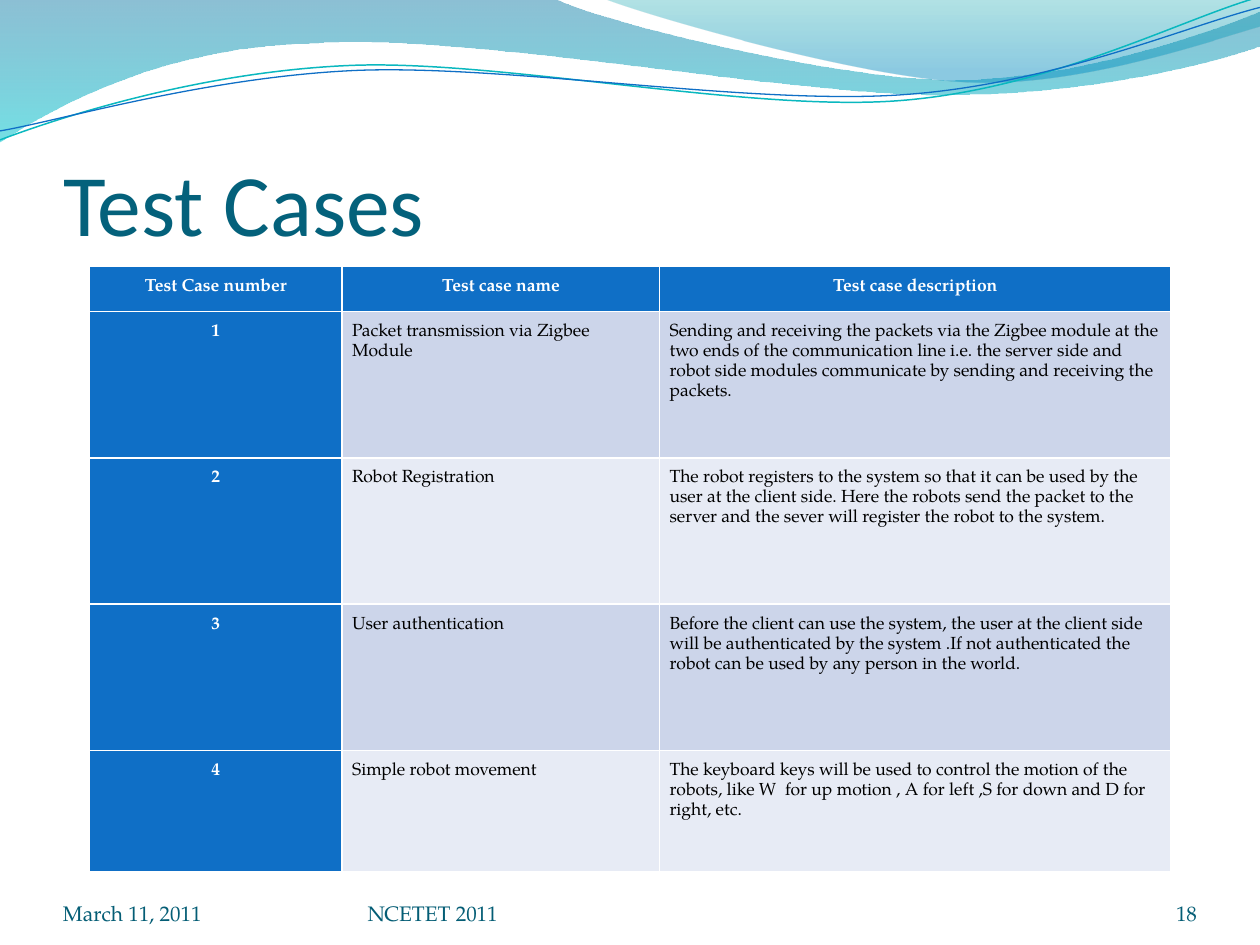
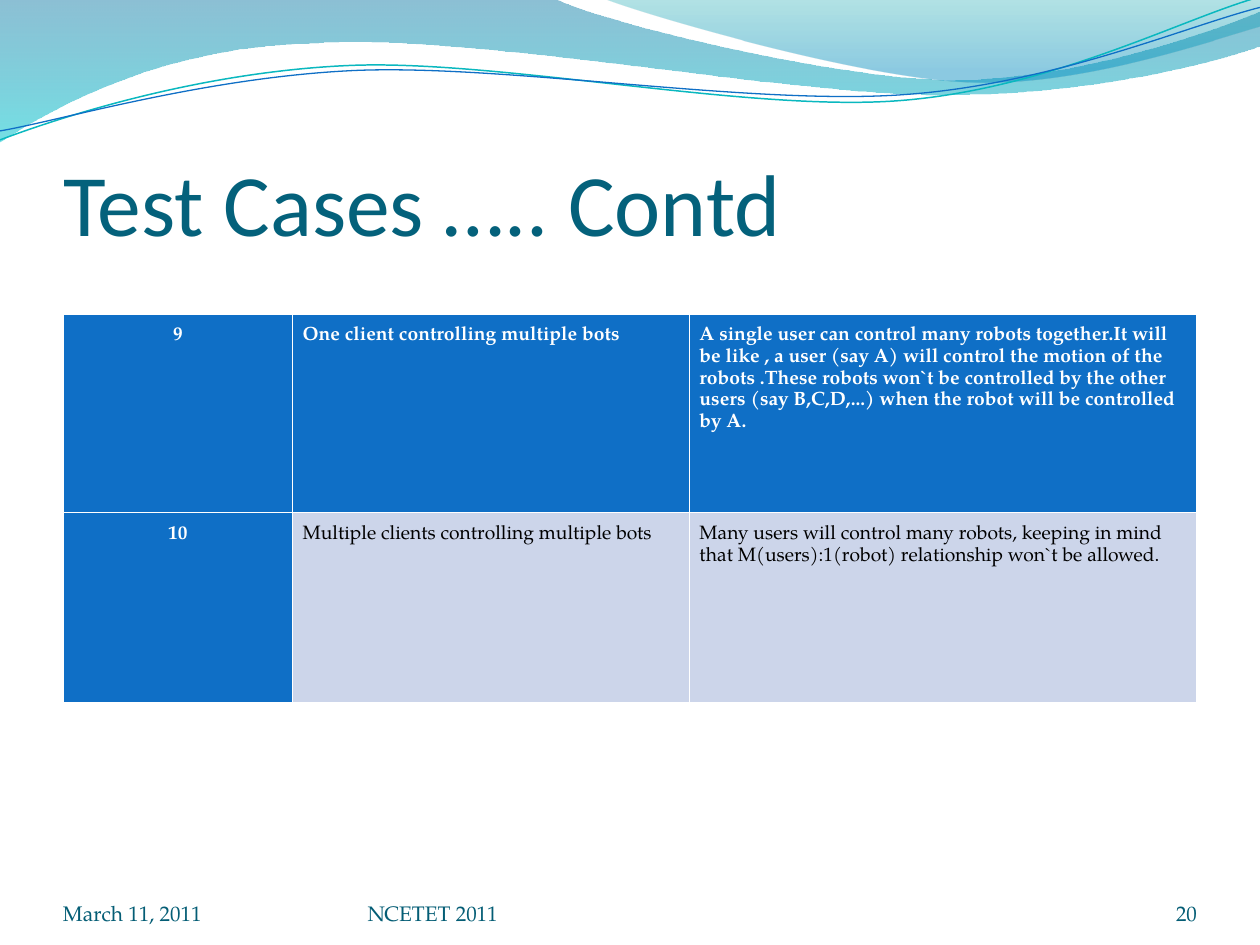
import math
import pptx
import pptx.util
import pptx.dml.color
import pptx.enum.text
import pptx.oxml
import pptx.oxml.ns
import pptx.shapes.shapetree

Cm = pptx.util.Cm
Pt = pptx.util.Pt
ALIGN = pptx.enum.text.PP_ALIGN
ANCHOR = pptx.enum.text.MSO_ANCHOR

BODY_FONT = "TeX Gyre Pagella"
TITLE_FONT = "Calibri"
BLUE = "0F6FC6"
WHITE = "FFFFFF"
BLACK = "000000"
BANDS = ("CCD5EA", "E7EBF5")
TITLE_COLOUR = "04617B"
FOOTER_COLOUR = "045D75"

TITLE_BOX = (1.27, 1.96, 22.86, 3.17)
FOOTER_BOX = (1.27, 17.65, 22.86, 1.02)
CELL_MARGIN = 0.2
LINE_TILT = 2.7

WIDE_WAVE = [
    (0, 0), [(11.18, -0.03)],
    [(12.09, 0.43), (16.87, 1.6), (19.25, 1.6)],
    [(21.67, 1.6), (24.33, 0.66), (25.4, 0.23)],
    [(25.43, 0.91)],
    [(24.97, 1.12), (22.1, 1.93), (18.95, 1.91)],
    [(15.8, 1.91), (9.7, 0.71), (6.53, 0.86)],
    [(3.28, 0.91), (1.17, 2.11), (-0.03, 2.87)],
    [(0, 0)],
]
RIGHT_WAVE = [
    (12.17, -0.03),
    [(12.93, 0.28), (17.32, 1.57), (19.53, 1.65)],
    [(21.74, 1.75), (24.41, 0.81), (25.4, 0.53)],
    [(25.4, 0)],
    [(12.17, -0.03)],
]
TEAL_LINE = [
    (0, 2.82),
    [(1.22, 2.36), (4.01, 1.45), (7.04, 1.32)],
    [(10.03, 1.19), (15.06, 2.26), (18.11, 2.03)],
    [(21.16, 1.8), (23.83, 0.38), (25.35, -0.05)],
]
BLUE_LINE = [
    (0, 2.64),
    [(1.19, 2.44), (4.17, 1.55), (7.19, 1.42)],
    [(10.24, 1.3), (15.16, 2.13), (18.21, 1.91)],
    [(21.23, 1.7), (23.9, 0.53), (25.4, 0.15)],
]

FIRST_CASES = [
    ("Test Case number", "Test case name", "Test case description"),
    ("1", "Packet transmission via Zigbee Module",
     "Sending and receiving the packets via the Zigbee module at the two ends of the "
     "communication line i.e. the server side and robot side modules communicate by "
     "sending and receiving the packets."),
    ("2", "Robot Registration",
     "The robot registers to the system so that it can be used by the user at the client "
     "side. Here the robots send the packet to the server and the sever will register the "
     "robot to the system."),
    ("3", "User authentication",
     "Before the client can use the system, the user at the client side will be "
     "authenticated by the system .If not authenticated the robot can be used by any "
     "person in the world."),
    ("4", "Simple robot movement",
     "The keyboard keys will be used to control the motion of the robots, like W  for up "
     "motion , A for left ,S for down and D for right, etc."),
]
LAST_CASES = [
    ("9", "One client controlling multiple bots",
     "A single user can control many robots together.It will be like , a user (say A) will "
     "control the motion of the robots .These robots won`t be controlled by the other users "
     "(say B,C,D,...) when the robot will be controlled by A."),
    ("10", "Multiple clients controlling multiple bots",
     "Many users will control many robots, keeping in mind that M(users):1(robot) "
     "relationship won`t be allowed."),
]


def colour(code):
    return pptx.dml.color.RGBColor.from_string(code)


def style_font(para, name, size, code, bold=False):
    para.font.name = name
    para.font.size = Pt(size)
    para.font.color.rgb = colour(code)
    para.font.bold = bold


def set_margins(target, left, top, right, bottom):
    target.margin_left, target.margin_top = Cm(left), Cm(top)
    target.margin_right, target.margin_bottom = Cm(right), Cm(bottom)


def turn(point, pivot, degrees):
    angle = math.radians(degrees)
    x, y = point[0] - pivot[0], point[1] - pivot[1]
    return (pivot[0] + x * math.cos(angle) - y * math.sin(angle),
            pivot[1] + x * math.sin(angle) + y * math.cos(angle))


def add_outline(shapes, outline, closed):
    start, *segments = outline
    points = [(Cm(x), Cm(y)) for x, y in [start, *sum(segments, [])]]
    builder = shapes.build_freeform(*points[0])
    builder.add_line_segments(points[1:], close=closed)
    shape = builder.convert_to_shape()
    shape.shadow.inherit = False
    steps = iter(list(shape._element.spPr.iter(pptx.oxml.ns.qn("a:lnTo"))))
    for segment in segments:
        group = [next(steps) for _ in segment]
        if len(group) == 3:
            curve = pptx.oxml.parse_xml(f'<a:cubicBezTo {pptx.oxml.ns.nsdecls("a")}/>')
            group[0].addprevious(curve)
            for step in group:
                curve.append(step[0])
                step.getparent().remove(step)
    return shape


def add_wave(shapes, outline, stops):
    wave = add_outline(shapes, outline, True)
    wave.line.fill.background()
    wave.fill.gradient()
    wave.fill.gradient_angle = 270
    for stop, (position, code, _) in zip(wave.fill.gradient_stops, stops):
        stop.position = position
        stop.color.rgb = colour(code)
    tints = wave._element.spPr.iter(pptx.oxml.ns.qn("a:srgbClr"))
    for tint, (_, _, opacity) in zip(tints, stops):
        tint.append(pptx.oxml.parse_xml(
            f'<a:alpha {pptx.oxml.ns.nsdecls("a")} val="{opacity * 1000}"/>'))


def add_wave_line(shapes, outline, pivot, code, width):
    start, *curves = outline
    level = [turn(start, pivot, LINE_TILT)]
    level += [[turn(point, pivot, LINE_TILT) for point in curve] for curve in curves]
    line = add_outline(shapes, level, False)
    line.rotation = 360 - LINE_TILT
    line.fill.background()
    line.line.color.rgb = colour(code)
    line.line.width = Pt(width)


def add_banner(layout):
    shapes = pptx.shapes.shapetree.SlideShapes(layout.shapes._spTree, layout)
    add_wave(shapes, WIDE_WAVE, [(0, "0074A1", 45), (1, "00C6CF", 55)])
    add_wave(shapes, RIGHT_WAVE, [(0, "00A1A9", 30), (0.8, "008BBF", 45)])
    lines = shapes.add_group_shape().shapes
    add_wave_line(lines, TEAL_LINE, (12.67, 1.46), "0AB8BF", 0.85)
    add_wave_line(lines, BLUE_LINE, (12.69, 1.5), BLUE, 0.75)


def set_title(page, text, box):
    title = page.shapes.title
    title.left, title.top, title.width, title.height = map(Cm, box)
    frame = title.text_frame
    frame.text = text
    frame.word_wrap = True
    frame.auto_size = pptx.enum.text.MSO_AUTO_SIZE.NONE
    frame.vertical_anchor = ANCHOR.BOTTOM
    set_margins(frame, 0, 0.13, 0, 0)
    para = frame.paragraphs[0]
    para.alignment = ALIGN.LEFT
    style_font(para, TITLE_FONT, 50, TITLE_COLOUR)


def add_footer(page, number, box):
    left, top, width, height = box
    parts = [
        ("March 11, 2011", 0, 5.92, ALIGN.LEFT),
        ("NCETET 2011", 6.14, 9.32, ALIGN.LEFT),
        (str(number), width - 2.12, 2.12, ALIGN.RIGHT),
    ]
    for text, offset, part_width, alignment in parts:
        label = page.shapes.add_textbox(Cm(left + offset), Cm(top), Cm(part_width), Cm(height))
        frame = label.text_frame
        frame.text = text
        frame.word_wrap = True
        frame.vertical_anchor = ANCHOR.BOTTOM
        set_margins(frame, 0, 0, 0, 0)
        frame.paragraphs[0].alignment = alignment
        style_font(frame.paragraphs[0], BODY_FONT, 12, FOOTER_COLOUR)


def add_case_table(page, cases, box, columns, rows, size, centred_header):
    table = page.shapes.add_table(len(rows), len(columns), *map(Cm, box)).table
    table.first_col = True
    for column, width in zip(table.columns, columns):
        column.width = Cm(width)
    for row, height in zip(table.rows, rows):
        row.height = Cm(height)
    for r, case in enumerate(cases):
        for c, text in enumerate(case):
            header = r == 0
            strong = header or c == 0
            cell = table.cell(r, c)
            cell.text = text
            set_margins(cell, *[CELL_MARGIN] * 4)
            cell.fill.solid()
            cell.fill.fore_color.rgb = colour(BLUE if strong else BANDS[(r - 1) % 2])
            para = cell.text_frame.paragraphs[0]
            para.line_spacing = 1.15
            centred = c == 0 or header and centred_header
            para.alignment = ALIGN.CENTER if centred else ALIGN.LEFT
            style_font(para, BODY_FONT, size, WHITE if strong else BLACK, strong)


def add_case_page(deck, title, number, **table):
    page = deck.slides.add_slide(deck.slide_layouts[5])
    set_title(page, title, TITLE_BOX)
    add_case_table(page, **table)
    add_footer(page, number, FOOTER_BOX)


def main():
    deck = pptx.Presentation()
    deck.slide_width, deck.slide_height = Cm(25.4), Cm(19.05)
    add_banner(deck.slide_layouts[5])
    add_case_page(deck, "Test Cases", 18, cases=FIRST_CASES,
                  box=(1.8, 5.37, 21.8, 12.2), columns=(5.1, 6.4, 10.3),
                  rows=(0.91, 2.95, 2.95, 2.95, 2.44), size=10, centred_header=True)
    add_case_page(deck, "Test Cases ….. Contd", 20, cases=LAST_CASES,
                  box=(1.27, 6.33, 22.86, 7.84), columns=(4.63, 8, 10.23),
                  rows=(4, 3.84), size=11, centred_header=False)
    deck.save("out.pptx")


if __name__ == "__main__":
    main()
